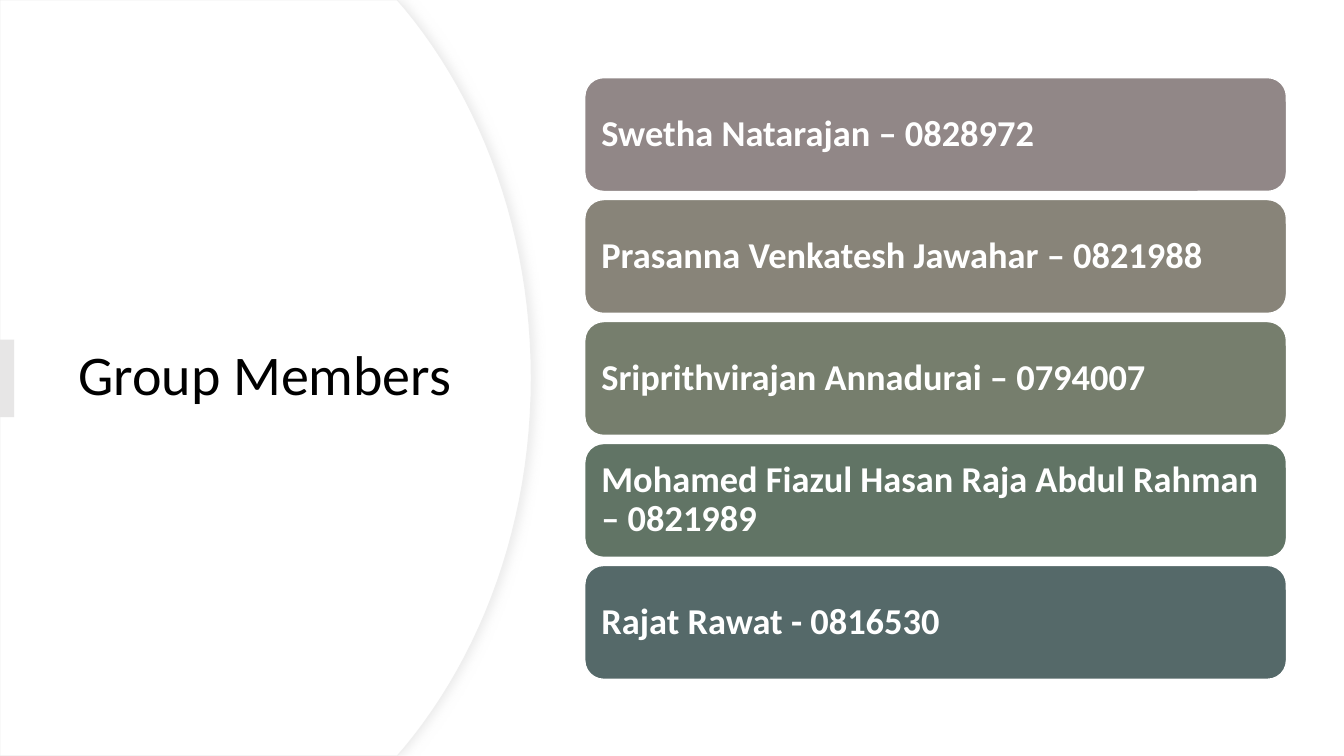
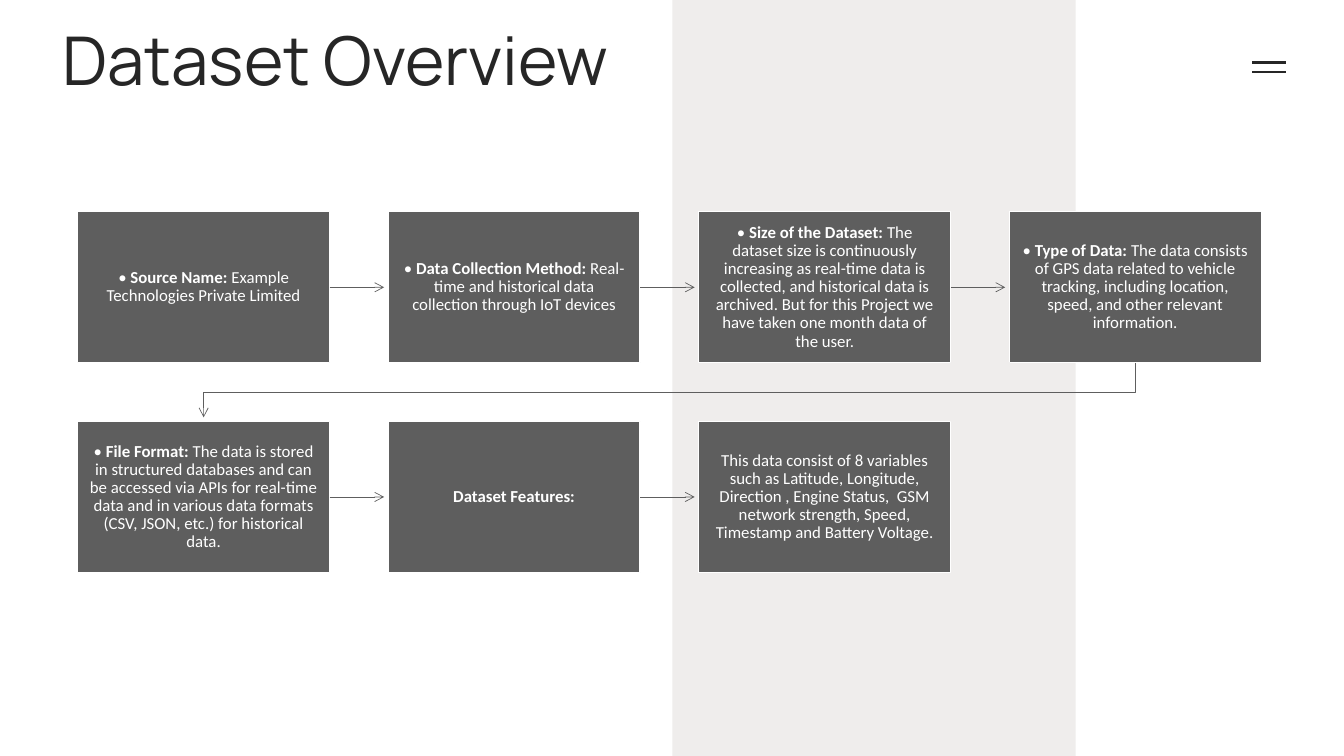
from lxml import etree
from pptx import Presentation
from pptx.dml.color import RGBColor
from pptx.enum.shapes import MSO_CONNECTOR as Connector, MSO_SHAPE as Preset
from pptx.enum.text import MSO_ANCHOR as Anchor, PP_ALIGN as Align
from pptx.oxml.ns import qn
from pptx.util import Pt

PX = 9144  # 100 px to the inch
WIDTH, HEIGHT = 1333, 750
WHITE, BLACK, INK = "FFFFFF", "000000", "262626"
BAND, TAB, RIM, SHADE, STEP = "EFEDEC", "E7E6E6", "EFEFEF", "D9D9D9", "5E5E5E"
BODY_FONT, HEAD_FONT = "Calibri", "Manrope"
LEFT_SIDE, RIGHT_SIDE = 1, 3

MEMBERS = [
    ("Swetha Natarajan – 0828972", "918787"),
    ("Prasanna Venkatesh Jawahar – 0821988", "888479"),
    ("Sriprithvirajan Annadurai – 0794007", "767E6D"),
    ("Mohamed Fiazul Hasan Raja Abdul Rahman – 0821989", "617465"),
    ("Rajat Rawat - 0816530", "556969"),
]
MEMBER_BOX = (580, 77, 696, 113)
MEMBER_PITCH = 121

# Each step is a list of (text, bold) spans.
STEPS = [
    [("• ", False), ("Source Name:", True),
     (" Example Technologies Private Limited", False)],
    [("• ", False), ("Data Collection Method:", True),
     (" Real-time and historical data collection through IoT devices", False)],
    [("• ", False), ("Size of the Dataset:", True),
     (" The dataset size is continuously increasing as real-time data is collected, "
      "and historical data is archived. But for this Project we have taken one month "
      "data of the user.", False)],
    [("• ", False), ("Type of Data:", True),
     (" The data consists of GPS data related to vehicle tracking, including location, "
      "speed, and other relevant information.", False)],
    [("• ", False), ("File Format:", True),
     (" The data is stored in structured databases and can be accessed via APIs for "
      "real-time data and in various data formats (CSV, JSON, etc.) for historical "
      "data.", False)],
    [("Dataset Features:", True)],
    [("This data consist of 8 variables such as Latitude, Longitude, Direction , "
      "Engine Status,  GSM network strength, Speed, Timestamp and Battery Voltage.",
      False)],
]
COLUMNS = 4
STEP_BOX = (77, 210, 250, 150)
STEP_PITCH = (308, 208)
ARROW_GAP = 4

# Upper half of the curved edge: Bezier control points in px.
ARC = [(401, 8), (479, 102), (527, 232), (527, 375)]
ARC_PARTS = 24


def emu(*lengths):
    return [round(length * PX) for length in lengths]


def color(hex_code):
    return RGBColor.from_string(hex_code)


def paint(shape, fill=None, line=None, width=1):
    shape.shadow.inherit = False
    if fill:
        shape.fill.solid()
        shape.fill.fore_color.rgb = color(fill)
    else:
        shape.fill.background()
    if line:
        stroke(shape, line, width)
    else:
        shape.line.fill.background()


def stroke(shape, line, width):
    shape.line.color.rgb = color(line)
    shape.line.width = Pt(width)


def add_box(page, preset, place, fill, line=None):
    box = page.shapes.add_shape(preset, *emu(*place))
    paint(box, fill, line)
    return box


def write(box, spans, size, ink, font=BODY_FONT, align=Align.LEFT,
          anchor=Anchor.MIDDLE, insets=(10, 5)):
    """Fill a box with one paragraph of (text, bold) spans."""
    frame = box.text_frame
    frame.word_wrap = True
    frame.vertical_anchor = anchor
    frame.margin_left = frame.margin_right = insets[0] * PX
    frame.margin_top = frame.margin_bottom = insets[1] * PX
    para = frame.paragraphs[0]
    para.alignment = align
    para.line_spacing = 0.9
    para.font.name = font
    para.font.size = Pt(size)
    para.font.color.rgb = color(ink)
    for text, bold in spans:
        span = para.add_run()
        span.text = text
        span.font.bold = bold


def add_title(page, text, place, **style):
    write(page.shapes.add_textbox(*emu(*place)), [(text, False)], **style)


def add_line(page, start, end, line, width):
    connector = page.shapes.add_connector(Connector.STRAIGHT, *emu(*start, *end))
    stroke(connector, line, width)
    etree.SubElement(connector.element.spPr, qn("a:effectLst"))
    return connector


def add_arrowhead(shape):
    etree.SubElement(shape.element.spPr.find(qn("a:ln")), qn("a:tailEnd"), type="arrow")


def add_outline(page, points, close):
    start, *rest = [emu(*point) for point in points]
    builder = page.shapes.build_freeform(*start, scale=1.0)
    builder.add_line_segments(rest, close=close)
    return builder.convert_to_shape()


def arc_points():
    points = []
    for part in range(ARC_PARTS + 1):
        t = part / ARC_PARTS
        weights = ((1 - t) ** 3, 3 * t * (1 - t) ** 2, 3 * t * t * (1 - t), t ** 3)
        points.append(tuple(sum(w * point[axis] for w, point in zip(weights, ARC))
                            for axis in (0, 1)))
    return points


def add_curved_panel(page):
    upper = [(394, 0)] + arc_points()
    lower = [(x, HEIGHT - y) for x, y in reversed(upper[:-1])]
    panel = add_outline(page, [(0, 0), *upper, *lower, (0, HEIGHT)], close=True)
    paint(panel, WHITE, RIM, 0.75)
    effects = panel.element.spPr.find(qn("a:effectLst"))
    shadow = etree.SubElement(effects, qn("a:outerShdw"), blurRad=str(Pt(7)),
                              dist=str(Pt(3)), dir="0", algn="l", rotWithShape="0")
    shade = etree.SubElement(shadow, qn("a:srgbClr"), val=SHADE)
    etree.SubElement(shade, qn("a:alpha"), val="50000")


def build_members(page):
    add_curved_panel(page)
    add_title(page, "Group Members", (68, 127, 394, 495), size=40, ink=BLACK)
    add_box(page, Preset.RECTANGLE, (0, 337, 14, 77), TAB)
    left, top, width, height = MEMBER_BOX
    for row, (name, fill) in enumerate(MEMBERS):
        place = (left, top + row * MEMBER_PITCH, width, height)
        box = add_box(page, Preset.ROUNDED_RECTANGLE, place, fill, WHITE)
        write(box, [(name, True)], 26, WHITE, insets=(11, 11))


def add_turn(page, start, end):
    """Lead from the foot of the last box in a row to the next row's first box."""
    middle = (start[1] + end[1] + ARROW_GAP) // 2
    turn = add_outline(page, [start, (start[0], middle), (end[0], middle), end],
                       close=False)
    paint(turn, None, STEP, 0.5)
    add_arrowhead(turn)


def build_dataset(page):
    add_box(page, Preset.RECTANGLE, (667, 0, 400, HEIGHT), BAND)
    for y in (62, 71):
        add_line(page, (1242, y), (1275, y), INK, 1.5)
    add_title(page, "Dataset Overview", (52, 22, 1190, 105), size=48, ink=INK,
              font=HEAD_FONT, anchor=Anchor.TOP)
    left, top, width, height = STEP_BOX
    for index, spans in enumerate(STEPS):
        row, column = divmod(index, COLUMNS)
        x, y = left + column * STEP_PITCH[0], top + row * STEP_PITCH[1]
        box = add_box(page, Preset.RECTANGLE, (x, y, width, height), STEP, WHITE)
        write(box, spans, 12, WHITE, align=Align.CENTER, insets=(12, 13))
        if index == len(STEPS) - 1:
            continue
        if column == COLUMNS - 1:
            add_turn(page, (x + width // 2, y + height),
                     (left + width // 2, y + STEP_PITCH[1] - ARROW_GAP))
        else:
            middle = y + height // 2
            arrow = add_line(page, (x + width, middle),
                             (x + STEP_PITCH[0] - ARROW_GAP, middle), STEP, 0.5)
            arrow.begin_connect(box, RIGHT_SIDE)
            add_arrowhead(arrow)


def main():
    deck = Presentation()
    deck.slide_width, deck.slide_height = emu(WIDTH, HEIGHT)
    blank = deck.slide_layouts[6]
    for build in (build_members, build_dataset):
        build(deck.slides.add_slide(blank))
    deck.save("out.pptx")


if __name__ == "__main__":
    main()
